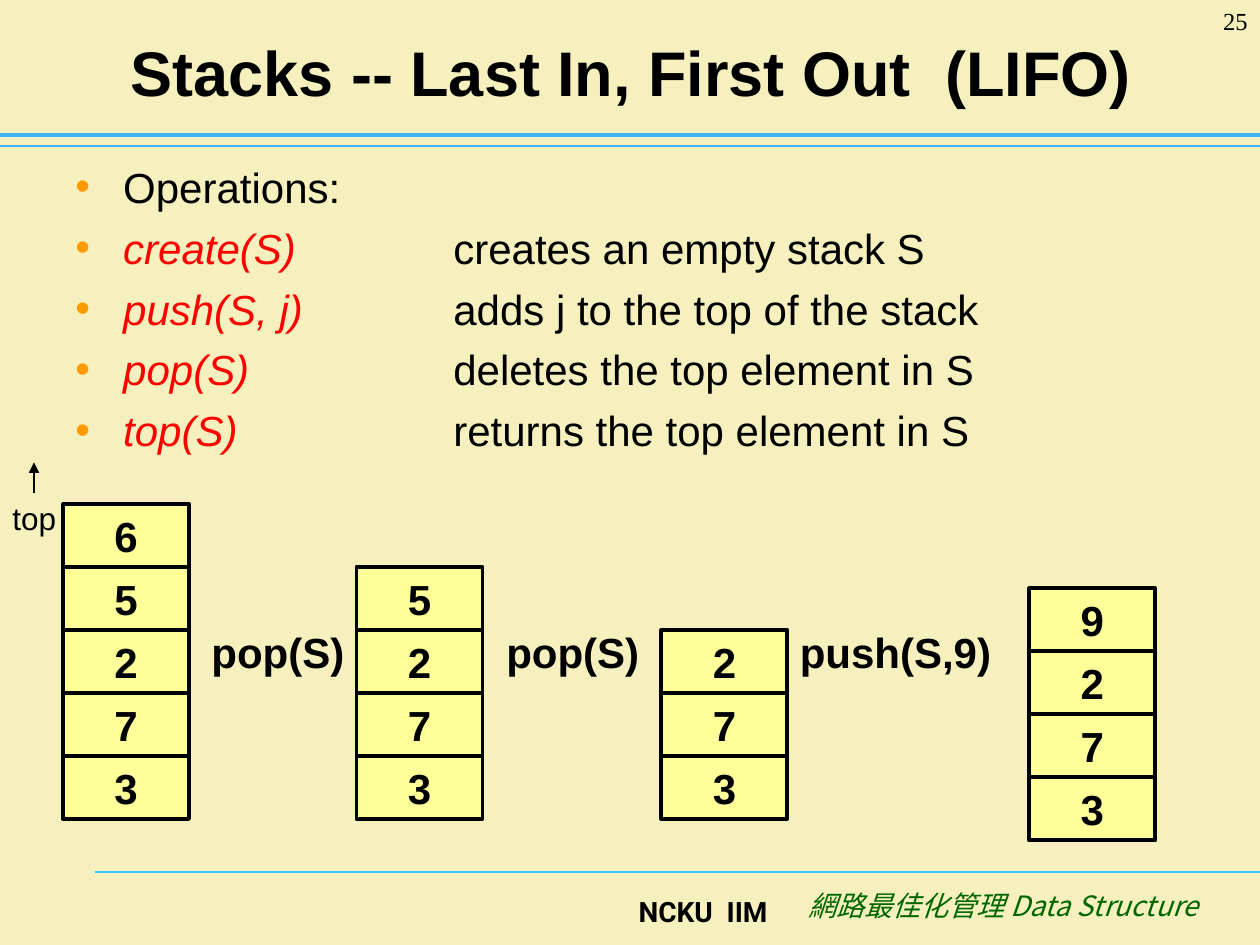
from typing import NamedTuple

from pptx import Presentation
from pptx.dml.color import RGBColor
from pptx.enum.shapes import MSO_CONNECTOR as LINE, MSO_SHAPE as SHAPE
from pptx.enum.text import MSO_ANCHOR as ANCHOR, PP_ALIGN as ALIGN
from pptx.oxml.ns import qn
from pptx.oxml.xmlchemy import OxmlElement as Element
from pptx.util import Inches, Pt

BLACK, RED, GREEN = "000000", "FF0000", "006600"
PAPER, CELL, ORANGE = "F5F0BD", "FFFF99", "FF9900"
SKY, CYAN = "3DB0FF", "33CCFF"
CELL_W, CELL_H = 1, 0.5


class Stack(NamedTuple):
    left: float
    bottom: float
    items: str  # from bottom to top


class Rule(NamedTuple):
    start: tuple[float, float]
    end: tuple[float, float]
    color: str
    width: float
    arrow: bool = False


class Label(NamedTuple):
    text: str
    left: float
    top: float
    width: float
    height: float = 0.5
    size: float = 24
    bold: bool = False
    italic: bool = False
    color: str = BLACK
    face: str = "Arial"
    align: ALIGN = ALIGN.LEFT
    wrap: bool = True


STACKS = [
    Stack(0.5, 6.5, "37256"),
    Stack(2.83, 6.5, "3725"),
    Stack(5.25, 6.5, "372"),
    Stack(8.17, 6.67, "3729"),
]
RULES = [
    Rule((0.75, 6.92), (10, 6.92), CYAN, 0.75),
    Rule((0, 1.16), (10, 1.16), SKY, 0.75),
    Rule((0, 1.07), (10, 1.07), SKY, 2.5),
    Rule((0.27, 3.91), (0.27, 3.67), BLACK, 1, arrow=True),
]
LABELS = [
    Label("pop(S)", 1.58, 4.92, 1.33, bold=True),
    Label("pop(S)", 3.92, 4.92, 1.33, bold=True),
    Label("push(S,9)", 6.25, 4.92, 1.83, bold=True),
    Label("top", 0, 3.91, 0.55, 0.4, size=18, wrap=False),
    Label("25", 9.17, 0, 0.83, size=14, face="Times New Roman", align=ALIGN.RIGHT),
    Label("NCKU  IIM", 4.19, 7.05, 2, 0.4, size=16, bold=True, face="Roboto",
          align=ALIGN.RIGHT),
    Label("網路最佳化管理 Data Structure", 6.2, 7, 3.41, size=16, italic=True,
          color=GREEN, face="Noto Sans CJK SC", align=ALIGN.RIGHT, wrap=False),
]
CALLS = [
    ("create(S)", "creates an empty stack S"),
    ("push(S, j)", "adds j to the top of the stack"),
    ("pop(S)", "deletes the top element in S"),
    ("top(S)", "returns the top element in S"),
]


def rgb(color: str) -> RGBColor:
    return RGBColor.from_string(color)


def style(font, size: float, color: str = BLACK, bold: bool = False,
          italic: bool = False, face: str = "Arial") -> None:
    font.name, font.size = face, Pt(size)
    font.bold, font.italic = bold, italic
    font.color.rgb = rgb(color)


def add_child(parent, tag: str, **attrs: str):
    child = Element(tag)
    for key, value in attrs.items():
        child.set(key, value)
    parent.append(child)
    return child


def add_rule(slide, rule: Rule) -> None:
    ends = [Inches(n) for n in rule.start + rule.end]
    line = slide.shapes.add_connector(LINE.STRAIGHT, *ends)
    line.line.color.rgb = rgb(rule.color)
    line.line.width = Pt(rule.width)
    if rule.arrow:
        add_child(line.line._get_or_add_ln(), "a:tailEnd", type="triangle")
    add_child(line._element.spPr, "a:effectLst")


def add_label(slide, label: Label) -> None:
    box = slide.shapes.add_textbox(Inches(label.left), Inches(label.top),
                                   Inches(label.width), Inches(label.height))
    frame = box.text_frame
    frame.word_wrap = label.wrap
    para = frame.paragraphs[0]
    para.alignment = label.align
    run = para.add_run()
    run.text = label.text
    style(run.font, label.size, label.color, label.bold, label.italic, label.face)
    if not label.text.isascii():
        latin = run._r.get_or_add_rPr().find(qn("a:latin"))
        east = Element("a:ea")
        east.set("typeface", label.face)
        latin.addnext(east)


def add_stack(slide, stack: Stack) -> None:
    for level, item in enumerate(stack.items, 1):
        cell = slide.shapes.add_shape(
            SHAPE.RECTANGLE, Inches(stack.left),
            Inches(stack.bottom - level * CELL_H), Inches(CELL_W), Inches(CELL_H))
        cell.shadow.inherit = False
        cell.fill.solid()
        cell.fill.fore_color.rgb = rgb(CELL)
        cell.line.color.rgb = rgb(BLACK)
        cell.line.width = Pt(2.25)
        frame = cell.text_frame
        frame.word_wrap = False
        frame.vertical_anchor = ANCHOR.MIDDLE
        para = frame.paragraphs[0]
        para.text = item
        para.alignment = ALIGN.CENTER
        style(para.font, 24, bold=True)


def add_bullet(para) -> None:
    """Give the paragraph an orange bullet and tab stops."""
    props = para._p.get_or_add_pPr()
    props.set("marL", str(Inches(0.38)))
    props.set("indent", str(Inches(-0.38)))
    add_child(add_child(props, "a:buClr"), "a:srgbClr", val=ORANGE)
    add_child(props, "a:buFont", typeface="Arial")
    add_child(props, "a:buChar", char="•")
    tabs = add_child(props, "a:tabLst")
    for stop in (2, 3):
        add_child(tabs, "a:tab", pos=str(Inches(stop)), algn="l")


def add_list(slide) -> None:
    box = slide.shapes.add_textbox(Inches(0.5), Inches(1.23),
                                   Inches(9.23), Inches(2.72))
    frame = box.text_frame
    frame.word_wrap = True
    head = frame.paragraphs[0]
    head.text = "Operations:"
    add_bullet(head)
    style(head.font, 24)
    for call, effect in CALLS:
        para = frame.add_paragraph()
        para.space_before = Pt(6)
        add_bullet(para)
        for text, color in ((call + "\t\t", RED), (effect, BLACK)):
            run = para.add_run()
            run.text = text
            style(run.font, 24, color, italic=color == RED)


def set_title(slide) -> None:
    title = slide.shapes.title
    title.left, title.top = Inches(0.51), Inches(0.13)
    title.width, title.height = Inches(9), Inches(0.87)
    frame = title.text_frame
    frame.vertical_anchor = ANCHOR.MIDDLE
    para = frame.paragraphs[0]
    para.text = "Stacks -- Last In, First Out  (LIFO)"
    para.alignment = ALIGN.CENTER
    style(para.font, 36, bold=True)


def main() -> None:
    deck = Presentation()
    deck.slide_width, deck.slide_height = Inches(10), Inches(7.5)
    slide = deck.slides.add_slide(deck.slide_layouts[5])
    slide.background.fill.solid()
    slide.background.fill.fore_color.rgb = rgb(PAPER)
    set_title(slide)
    add_list(slide)
    for rule in RULES:
        add_rule(slide, rule)
    for stack in STACKS:
        add_stack(slide, stack)
    for label in LABELS:
        add_label(slide, label)
    deck.save("out.pptx")


if __name__ == "__main__":
    main()
